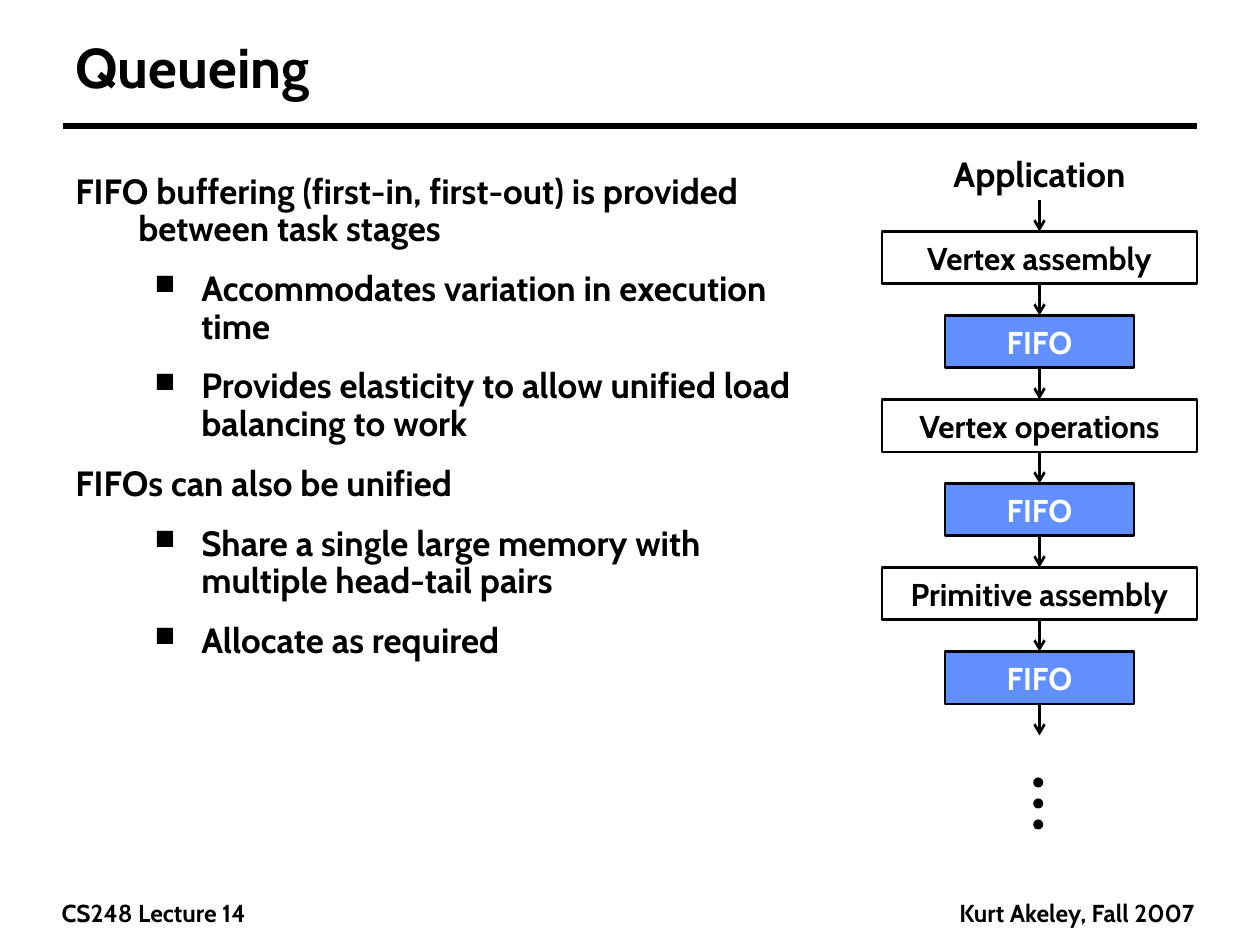
from lxml import etree
from pptx import Presentation
from pptx.dml.color import RGBColor
from pptx.enum.shapes import MSO_CONNECTOR, MSO_SHAPE
from pptx.enum.text import MSO_ANCHOR, PP_ALIGN
from pptx.oxml.ns import qn
from pptx.util import Inches, Pt

COLORS = {"ink": "000000", "fifo": "618FFD", "light": "FFFFFF"}
FONT = "Cabin"
BODY = [
    (0, "FIFO buffering (first-in, first-out) is provided between task stages"),
    (1, "Accommodates variation in execution time"),
    (1, "Provides elasticity to allow unified load balancing to work"),
    (0, "FIFOs can also be unified"),
    (1, "Share a single large memory with multiple head-tail pairs"),
    (1, "Allocate as required"),
]
STAGES = ["Vertex assembly", "Vertex operations", "Primitive assembly"]


def color(name):
    """Return the named colour."""
    return RGBColor.from_string(COLORS[name])


def style(paragraph, size, ink="ink", align=PP_ALIGN.LEFT):
    """Format one paragraph in the slide's bold font."""
    paragraph.alignment = align
    font = paragraph.font
    font.name, font.size, font.bold = FONT, Pt(size), True
    font.color.rgb = color(ink)


def add_text(slide, box, text, size, align=PP_ALIGN.LEFT, anchor=MSO_ANCHOR.TOP, wrap=True):
    """Add a one-paragraph text box and return its text frame."""
    frame = slide.shapes.add_textbox(*box).text_frame
    frame.word_wrap, frame.vertical_anchor = wrap, anchor
    frame.text = text
    style(frame.paragraphs[0], size, align=align)
    return frame


def add_line(slide, start, end, width, arrow=False):
    """Draw a straight line, with an open arrowhead if asked."""
    line = slide.shapes.add_connector(MSO_CONNECTOR.STRAIGHT, *start, *end)
    line.line.color.rgb, line.line.width = color("ink"), Pt(width)
    properties = line.line._get_or_add_ln()
    if arrow:
        etree.SubElement(properties, qn("a:tailEnd"), type="arrow")
    etree.SubElement(properties.getparent(), qn("a:effectLst"))


def add_shape(slide, kind, box, fill=None, outline=True):
    """Add a flat preset shape."""
    shape = slide.shapes.add_shape(kind, *box)
    shape.shadow.inherit = False
    if fill:
        shape.fill.solid()
        shape.fill.fore_color.rgb = color(fill)
    else:
        shape.fill.background()
    if outline:
        shape.line.color.rgb, shape.line.width = color("ink"), Pt(1.5)
    else:
        shape.line.fill.background()
    return shape


def add_header(slide, left, top, width):
    """Place the title and the rule below it."""
    frame = add_text(slide, (left, top, width, Inches(0.61)), "Queueing", 32,
                     anchor=MSO_ANCHOR.MIDDLE)
    frame.paragraphs[0].line_spacing = 0.9
    rule = top + Inches(0.75)
    add_line(slide, (left, rule), (left + width, rule), 4)


def add_body(slide, left, top, width, height):
    """Place the statements and their square-bulleted points."""
    frame = slide.shapes.add_textbox(left, top, width, height).text_frame
    frame.word_wrap = True
    for index, (level, text) in enumerate(BODY):
        paragraph = frame.add_paragraph() if index else frame.paragraphs[0]
        paragraph.text, paragraph.level = text, level
        paragraph.line_spacing = 0.9
        paragraph.space_before = Pt(12.5 if index else 0)
        properties = paragraph._p.get_or_add_pPr()
        margin, indent = (1, -0.37) if level else (0.5, -0.5)
        properties.set("marL", str(Inches(margin)))
        properties.set("indent", str(Inches(indent)))
        if level:
            bullet_color = etree.SubElement(properties, qn("a:buClr"))
            etree.SubElement(bullet_color, qn("a:srgbClr"), val=COLORS["ink"])
            etree.SubElement(properties, qn("a:buSzPct"), val="80000")
            etree.SubElement(properties, qn("a:buChar"), char="■")
        style(paragraph, 20)


def add_stage(slide, box, text, fill=None, ink="ink"):
    """Place one labelled box of the pipeline."""
    frame = add_shape(slide, MSO_SHAPE.RECTANGLE, box, fill).text_frame
    frame.word_wrap, frame.vertical_anchor = False, MSO_ANCHOR.MIDDLE
    frame.text = text
    style(frame.paragraphs[0], 18, ink, PP_ALIGN.CENTER)


def add_pipeline(slide, left, top, width):
    """Place the column of stages, FIFOs, arrows and closing dots."""
    pitch, height, inset = Inches(2) // 3, Inches(5) // 12, Inches(0.5)
    center = left + width // 2
    add_text(slide, (left, top, width, height), "Application", 20,
             PP_ALIGN.CENTER, MSO_ANCHOR.MIDDLE, False)
    for index, stage in enumerate(STAGES):
        row = top + (2 * index + 1) * pitch
        add_stage(slide, (left, row, width, height), stage)
        add_stage(slide, (left + inset, row + pitch, width - 2 * inset, height),
                  "FIFO", "fifo", "light")
    for index in range(2 * len(STAGES) + 1):
        row = top + index * pitch
        add_line(slide, (center, row + height), (center, row + pitch), 1.5, True)
    dot = Inches(0.08)
    for index in range(3):
        add_shape(slide, MSO_SHAPE.OVAL,
                  (center - Inches(0.05), top + Inches(5) + index * pitch // 4, dot, dot),
                  "ink", False)


def add_footer(slide, left, top, right):
    """Place the lecture name and the author line."""
    height, width = Inches(0.34), Inches(2.58)
    add_text(slide, (left, top, Inches(1.83), height), "CS248 Lecture 14", 14, wrap=False)
    add_text(slide, (right - width, top, width, height), "Kurt Akeley, Fall 2007", 14,
             PP_ALIGN.RIGHT)


def main():
    """Build and save the slide."""
    presentation = Presentation()
    presentation.slide_width, presentation.slide_height = Inches(10), Inches(7.5)
    slide = presentation.slides.add_slide(presentation.slide_layouts[6])
    add_header(slide, Inches(0.5), Inches(0.25), Inches(9))
    add_body(slide, Inches(0.5), Inches(1.33), Inches(6), Inches(5.75))
    add_pipeline(slide, Inches(7), Inches(1.17), Inches(2.5))
    add_footer(slide, Inches(0.39), Inches(7.08), Inches(9.58))
    presentation.save("out.pptx")


if __name__ == "__main__":
    main()
